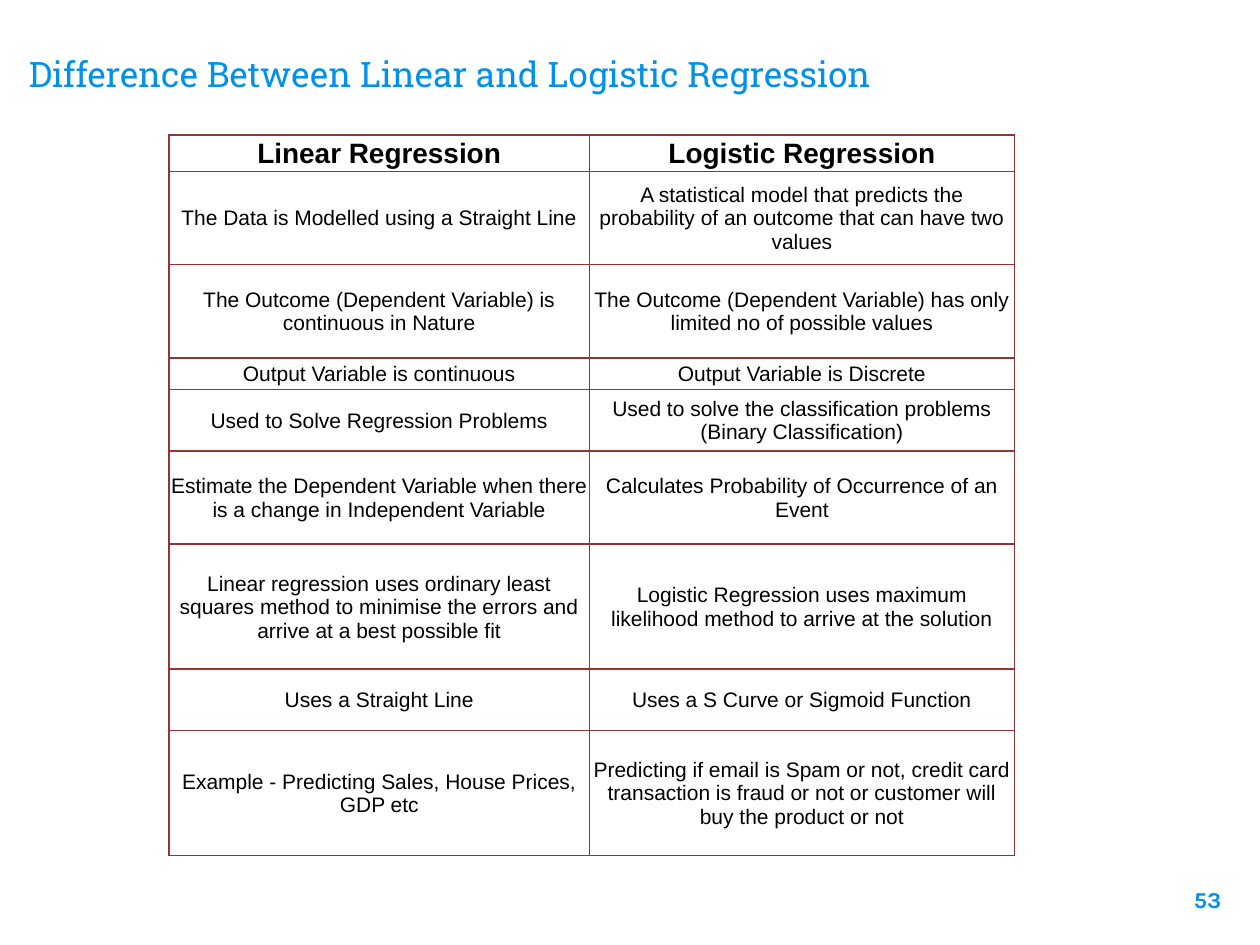
from pptx import Presentation
from pptx.dml.color import RGBColor
from pptx.enum.text import MSO_ANCHOR as ANCHOR, PP_ALIGN as ALIGN
from pptx.oxml import parse_xml
from pptx.oxml.ns import nsdecls
from pptx.util import Inches, Pt

BLUE = RGBColor(0x00, 0x91, 0xEA)
BLACK = RGBColor(0x00, 0x00, 0x00)
MAROON = RGBColor(0x96, 0x33, 0x34)

COL_WIDTHS = [3.34, 3.37]
ROWS = [
    (0.29, "Linear Regression", "Logistic Regression"),
    (0.74, "The Data is Modelled using a Straight Line",
     "A statistical model that predicts the probability of an outcome that can have two values"),
    (0.74, "The Outcome (Dependent Variable) is continuous in Nature",
     "The Outcome (Dependent Variable) has only limited no of possible values"),
    (0.25, "Output Variable is continuous", "Output Variable is Discrete"),
    (0.49, "Used to Solve Regression Problems",
     "Used to solve the classification problems (Binary Classification)"),
    (0.74, "Estimate the Dependent Variable when there is a change in Independent Variable",
     "Calculates Probability of Occurrence of an Event"),
    (0.99, "Linear regression uses ordinary least squares method to minimise the errors "
     "and arrive at a best possible fit",
     "Logistic Regression uses maximum likelihood method to arrive at the solution"),
    (0.49, "Uses a Straight Line", "Uses a S Curve or Sigmoid Function"),
    (0.99, "Example - Predicting Sales, House Prices, GDP etc",
     "Predicting if email is Spam or not, credit card transaction is fraud or not "
     "or customer will buy the product or not"),
]


def write(tf, text, font="Arial", size=12, color=BLACK, bold=False, align=ALIGN.LEFT):
    tf.word_wrap = True
    p = tf.paragraphs[0]
    p.alignment = align
    r = p.add_run()
    r.text = text
    r.font.name = font
    r.font.size = Pt(size)
    r.font.color.rgb = color
    r.font.bold = bold


def add_borders(cell, color, width):
    tc_pr = cell._tc.get_or_add_tcPr()
    for side in ("lnL", "lnR", "lnT", "lnB"):
        tc_pr.append(parse_xml(
            f'<a:{side} {nsdecls("a")} w="{Pt(width)}"><a:solidFill>'
            f'<a:srgbClr val="{color}"/></a:solidFill></a:{side}>'))


prs = Presentation()
prs.slide_width, prs.slide_height = Inches(10), Inches(7.5)
slide = prs.slides.add_slide(prs.slide_layouts[6])

title = slide.shapes.add_textbox(Inches(0.13), Inches(0.31), Inches(8.28), Inches(0.54))
number = slide.shapes.add_textbox(Inches(9.19), Inches(6.93), Inches(0.6), Inches(0.57))
for sp in (title, number):
    tf = sp.text_frame
    tf.margin_left = tf.margin_right = tf.margin_top = tf.margin_bottom = Inches(0.1)
title.text_frame.vertical_anchor = ANCHOR.BOTTOM
write(title.text_frame, "Difference Between Linear and Logistic Regression",
      font="Roboto Slab", size=20, color=BLUE)
write(number.text_frame, "53", font="Karla", size=13, color=BLUE, bold=True, align=ALIGN.RIGHT)

table = slide.shapes.add_table(len(ROWS), len(COL_WIDTHS), Inches(1.34), Inches(1.07),
                               Inches(sum(COL_WIDTHS)),
                               Inches(sum(row[0] for row in ROWS))).table
table.horz_banding = False
for column, width in zip(table.columns, COL_WIDTHS):
    column.width = Inches(width)

for i, (height, *texts) in enumerate(ROWS):
    table.rows[i].height = Inches(height)
    header = i == 0
    for j, text in enumerate(texts):
        cell = table.cell(i, j)
        cell.margin_left = cell.margin_right = cell.margin_top = Inches(0.01)
        cell.margin_bottom = 0
        cell.vertical_anchor = ANCHOR.MIDDLE
        add_borders(cell, MAROON, 1)
        cell.fill.background()
        write(cell.text_frame, text, size=16 if header else 12, bold=header,
              align=ALIGN.CENTER)

prs.save("out.pptx")
